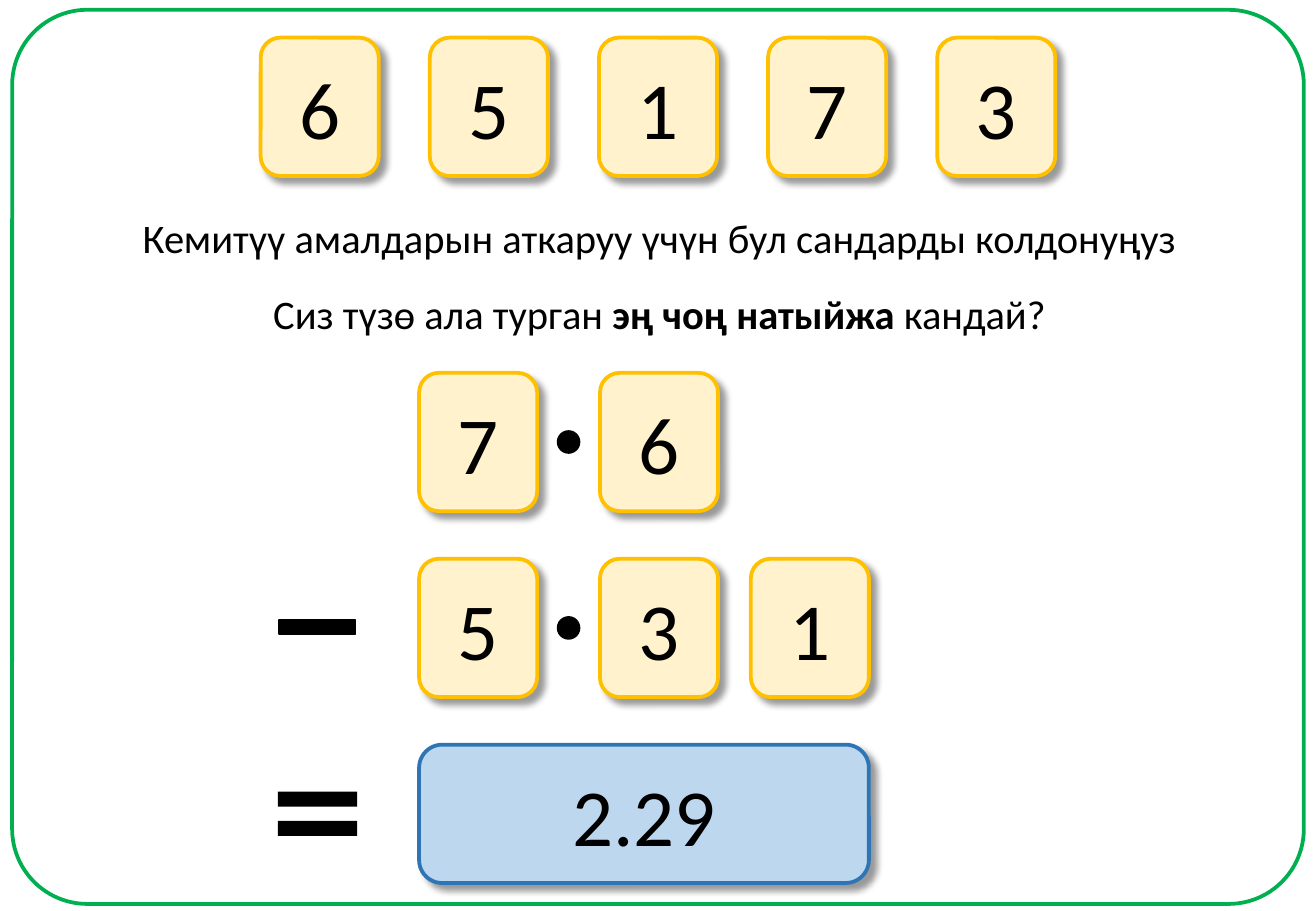
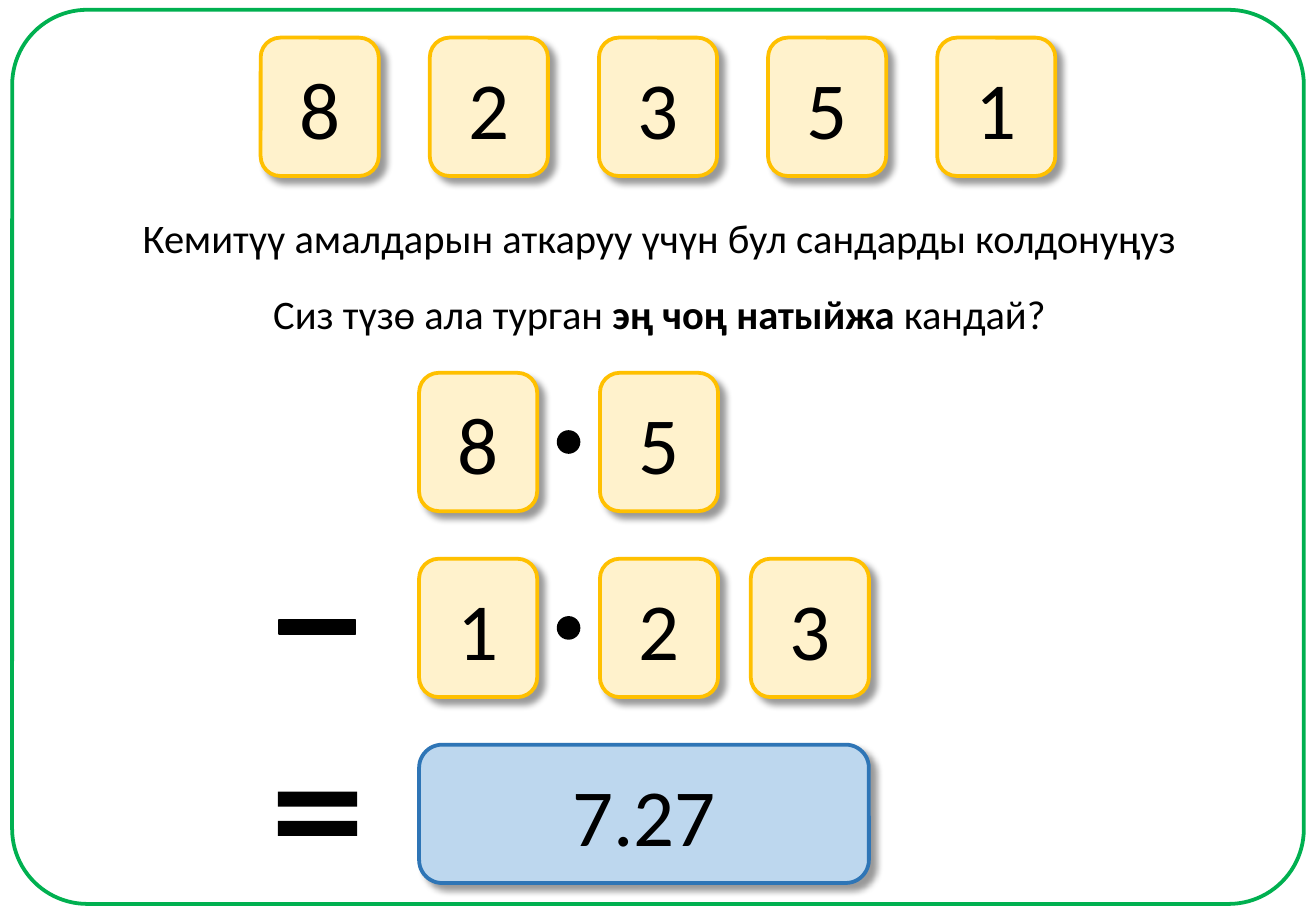
from lxml import etree
from pptx import Presentation
from pptx.dml.color import RGBColor
from pptx.enum import shapes, text
from pptx.oxml.ns import qn
from pptx.util import Pt

BLACK = RGBColor(0x00, 0x00, 0x00)
GREEN = RGBColor(0x00, 0xB0, 0x50)
CREAM = RGBColor(0xFF, 0xF2, 0xCC)
GOLD = RGBColor(0xFF, 0xC0, 0x00)
PALE_BLUE = RGBColor(0xBD, 0xD7, 0xEE)
BLUE = RGBColor(0x2E, 0x75, 0xB6)

FONT = "Calibri"
PAGE_WIDTH, PAGE_HEIGHT = 780, 540
CARD_WIDTH, CARD_HEIGHT = 70, 82
CARD_STEP = 100.25
CARD_TOP = 22.3
COLUMNS = (248.4, 355.6, 445)
ROW_TOPS = [221 + 110.2 * row for row in range(3)]
DOT_SIZE = 13
DOT_LEFT = 330.5

TITLE = "Кемитүү амалдарын аткаруу үчүн бул сандарды колдонуңуз"
QUESTION = (("Сиз түзө ала турган ", False), ("эң чоң натыйжа ", True), ("кандай?", False))
# Offered digits, top number, number taken away, answer
PUZZLES = (
    ("65173", "76", "531", "2.29"),
    ("82351", "85", "123", "7.27"),
)


class PuzzleDeck:
    def __init__(self):
        self.deck = Presentation()
        self.deck.slide_width = Pt(PAGE_WIDTH)
        self.deck.slide_height = Pt(PAGE_HEIGHT)
        self.page = None

    def add_page(self):
        self.page = self.deck.slides.add_slide(self.deck.slide_layouts[5])
        self.shape("ROUNDED_RECTANGLE", 7.2, 5.8, 765.6, 530, None, GREEN, adjustments=[0.084])

    def shape(self, kind, left, top, width, height, fill=BLACK, line=None,
              line_width=2.25, adjustments=()):
        shape = self.page.shapes.add_shape(
            getattr(shapes.MSO_SHAPE, kind), Pt(left), Pt(top), Pt(width), Pt(height))
        shape.shadow.inherit = False
        for index, value in enumerate(adjustments):
            shape.adjustments[index] = value
        if fill is None:
            shape.fill.background()
        else:
            shape.fill.solid()
            shape.fill.fore_color.rgb = fill
        if line is None:
            shape.line.fill.background()
        else:
            shape.line.color.rgb = line
            shape.line.width = Pt(line_width)
        return shape

    def set_text(self, box, spans, size):
        """Fill a box with one centred line of (text, bold) spans."""
        frame = box.text_frame
        frame.vertical_anchor = text.MSO_ANCHOR.MIDDLE
        para = frame.paragraphs[0]
        para.alignment = text.PP_ALIGN.CENTER
        para.font.name = FONT
        para.font.size = Pt(size)
        para.font.color.rgb = BLACK
        for words, bold in spans:
            span = para.add_run()
            span.text = words
            if bold:
                span.font.bold = True

    def title(self, words, left, top, width, height):
        box = self.page.shapes.title
        box.left, box.top, box.width, box.height = Pt(left), Pt(top), Pt(width), Pt(height)
        box.text_frame.auto_size = text.MSO_AUTO_SIZE.NONE
        box.text_frame.word_wrap = False
        self.set_text(box, [(words, False)], 24)

    def label(self, spans, left, top, width, height):
        box = self.page.shapes.add_textbox(Pt(left), Pt(top), Pt(width), Pt(height))
        box.text_frame.word_wrap = False
        self.set_text(box, spans, 24)

    def card(self, words, left, top, width=CARD_WIDTH, fill=CREAM, line=GOLD):
        card = self.shape("ROUNDED_RECTANGLE", left, top, width, CARD_HEIGHT, fill, line)
        self.drop_shadow(card)
        self.set_text(card, [(words, False)], 48)

    def drop_shadow(self, shape):
        effects = shape.element.spPr.find(qn("a:effectLst"))
        shadow = etree.SubElement(
            effects, qn("a:outerShdw"), blurRad=str(Pt(4)), dist=str(Pt(5)),
            dir="2700000", algn="tl", rotWithShape="0")
        color = etree.SubElement(shadow, qn("a:srgbClr"), val=str(BLACK))
        etree.SubElement(color, qn("a:alpha"), val="40000")

    def decimal(self, digits, top):
        """Lay out digit cards with a decimal dot after the first."""
        for digit, left in zip(digits, COLUMNS):
            self.card(digit, left, top)
        self.shape("OVAL", DOT_LEFT, top + (CARD_HEIGHT - DOT_SIZE) / 2,
                   DOT_SIZE, DOT_SIZE, BLACK, BLACK, 1)

    def puzzle(self, offered, minuend, subtrahend, answer):
        self.add_page()
        row_width = CARD_STEP * (len(offered) - 1) + CARD_WIDTH
        for index, digit in enumerate(offered):
            self.card(digit, (PAGE_WIDTH - row_width) / 2 + index * CARD_STEP, CARD_TOP)
        self.title(TITLE, 74, 122.4, 633.6, 36)
        self.label(QUESTION, 152.6, 167.8, 476.6, 36)
        first_row, second_row, answer_row = ROW_TOPS
        self.decimal(minuend, first_row)
        self.decimal(subtrahend, second_row)
        self.shape("MATH_MINUS", 157, second_row + 9.4, 62, 62, BLACK, BLACK, 1, [0.132])
        self.shape("MATH_EQUAL", 156.2, answer_row + 5, 64, 72, adjustments=[0.123, 0.118])
        self.card(answer, COLUMNS[0], answer_row,
                  COLUMNS[-1] + CARD_WIDTH - COLUMNS[0], PALE_BLUE, BLUE)


def main():
    builder = PuzzleDeck()
    for puzzle in PUZZLES:
        builder.puzzle(*puzzle)
    builder.deck.save("out.pptx")


if __name__ == "__main__":
    main()
